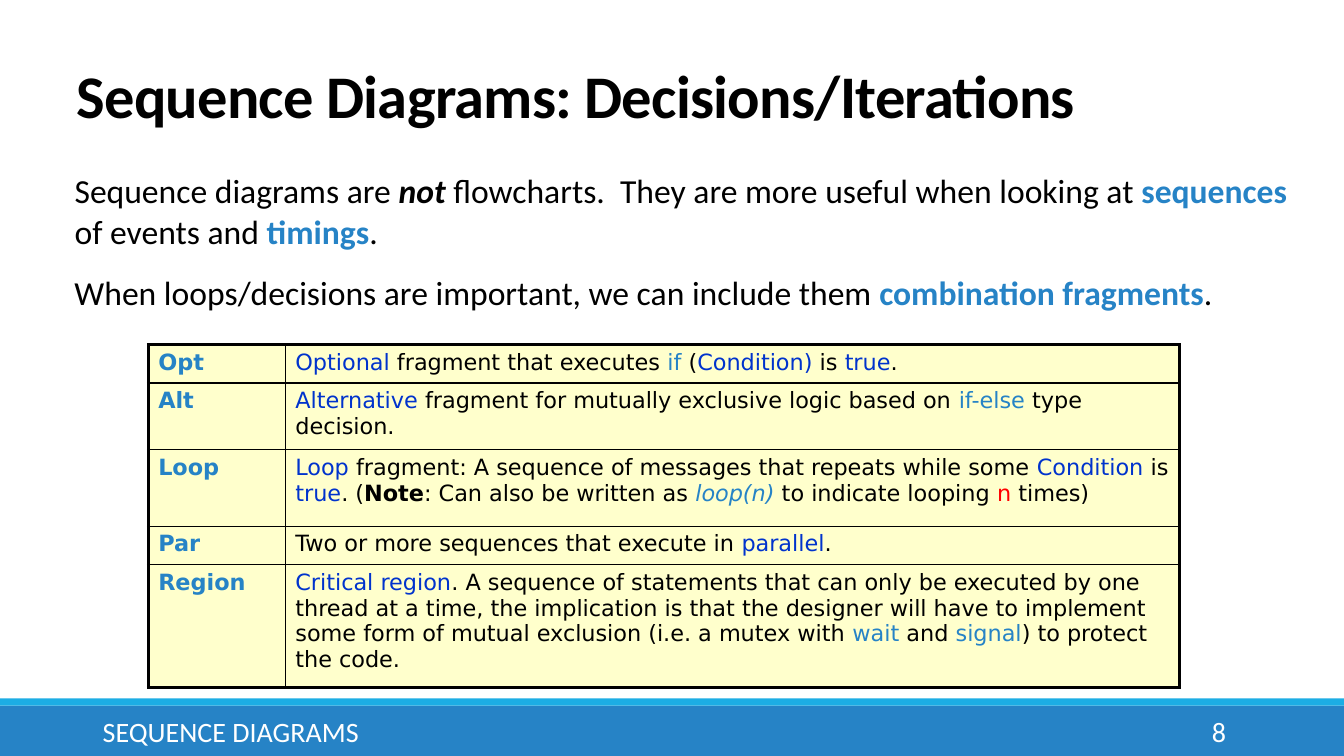
from dataclasses import dataclass, field

from lxml import etree
from pptx import Presentation
from pptx.dml.color import RGBColor
from pptx.enum import shapes, text
from pptx.oxml import ns
from pptx.util import Inches, Pt


@dataclass(frozen=True)
class Theme:
    black: str = "000000"
    white: str = "FFFFFF"
    blue: str = "2683C6"
    cyan: str = "1CADE4"
    navy: str = "0033CC"
    red: str = "FF0000"
    cream: str = "FFFFCC"
    font: str = "Calibri"
    table_font: str = "DejaVu Sans"
    title_size: float = 43.2
    body_size: float = 24
    footer_size: float = 20
    table_size: float = 16
    outer_border: float = 2.25
    inner_border: float = 1


THEME = Theme()


@dataclass(frozen=True)
class Run:
    text: str
    color: str = THEME.black
    bold: bool = False
    italic: bool = False
    spacing: float = 0


@dataclass(frozen=True)
class Label:
    box: tuple[float, float, float, float]
    runs: list[Run]
    size: float
    anchor: text.MSO_ANCHOR = text.MSO_ANCHOR.TOP
    align: text.PP_ALIGN = text.PP_ALIGN.LEFT
    side_inset: float = 0.1
    line_spacing: float = 1.0


@dataclass(frozen=True)
class Fragment:
    name: str
    height: float
    description: list[Run] = field(default_factory=list)


@dataclass(frozen=True)
class Bar:
    top: float
    height: float
    color: str


def key(words: str) -> Run:
    return Run(words, THEME.blue, bold=True)


def term(words: str) -> Run:
    return Run(words, THEME.navy)


def code(words: str, italic: bool = False) -> Run:
    return Run(words, THEME.blue, italic=italic)


BARS = [Bar(7, 0.5, THEME.blue), Bar(6.93, 0.07, THEME.cyan)]

LABELS = [
    Label((0.66, 0.5, 11, 0.85),
          [Run("Sequence Diagrams: Decisions/Iterations", bold=True, spacing=-0.5)],
          THEME.title_size, text.MSO_ANCHOR.BOTTOM, line_spacing=0.85),
    Label((0.74, 1.64, 12.1, 0.91),
          [Run("Sequence diagrams are "), Run("not", bold=True, italic=True),
           Run(" flowcharts.  They are more useful when looking at "), key("sequences "),
           Run("of events and "), key("timings"), Run(".")],
          THEME.body_size, side_inset=0),
    Label((0.92, 7.06, 8.39, 0.4), [Run("SEQUENCE DIAGRAMS", THEME.white)],
          THEME.footer_size, text.MSO_ANCHOR.MIDDLE),
    Label((10.83, 7.06, 1.43, 0.4), [Run("8", THEME.white)],
          THEME.footer_size, text.MSO_ANCHOR.MIDDLE, text.PP_ALIGN.RIGHT),
    Label((0.64, 2.65, 11.92, 0.5),
          [Run("When loops/decisions are important, we can include them "),
           key("combination fragments"), Run(".")],
          THEME.body_size),
]

TABLE_LEFT, TABLE_TOP = 1.47, 3.42
COLUMN_WIDTHS = [1.36, 8.87]
FRAGMENTS = [
    Fragment("Opt", 0.38, [
        term("Optional"), Run(" fragment that executes "), code("if"), Run(" ("),
        term("Condition)"), Run(" is "), term("true"), Run(".")]),
    Fragment("Alt", 0.66, [
        term("Alternative"), Run(" fragment for mutually exclusive logic based on "),
        code("if-else "), Run("type decision.")]),
    Fragment("Loop", 0.76, [
        term("Loop"), Run(" fragment: A sequence of messages that repeats while some "),
        term("Condition"), Run(" is "), term("true"), Run(". ("), Run("Note", bold=True),
        Run(": Can also be written as "), code("loop(n)", italic=True),
        Run(" to indicate looping "), Run("n", THEME.red), Run(" times)")]),
    Fragment("Par", 0.38, [
        Run("Two or more sequences that execute in "), term("parallel"), Run(".")]),
    Fragment("Region", 1.22, [
        term("Critical region"),
        Run(". A sequence of statements that can only be executed by one thread at a time, "
            "the implication is that the designer will have to implement some form of "
            "mutual exclusion (i.e. a mutex with "),
        code("wait"), Run(" and "), code("signal"), Run(") to protect the code.")]),
]


def add_runs(paragraph, runs: list[Run], font: str, size: float) -> None:
    for item in runs:
        run = paragraph.add_run()
        run.text = item.text
        run.font.name = font
        run.font.size = Pt(size)
        run.font.bold = item.bold
        run.font.italic = item.italic
        run.font.color.rgb = RGBColor.from_string(item.color)
        if item.spacing:
            run.font._element.set("spc", str(round(item.spacing * 100)))


def add_bar(slide, bar: Bar, width: int) -> None:
    shape = slide.shapes.add_shape(shapes.MSO_SHAPE.RECTANGLE, 0, Inches(bar.top),
                                   width, Inches(bar.height))
    shape.shadow.inherit = False
    shape.fill.solid()
    shape.fill.fore_color.rgb = RGBColor.from_string(bar.color)
    shape.line.fill.background()


def add_label(slide, label: Label) -> None:
    frame = slide.shapes.add_textbox(*map(Inches, label.box)).text_frame
    frame.word_wrap = True
    frame.vertical_anchor = label.anchor
    frame.margin_left = frame.margin_right = Inches(label.side_inset)
    paragraph = frame.paragraphs[0]
    paragraph.alignment = label.align
    paragraph.line_spacing = label.line_spacing
    add_runs(paragraph, label.runs, THEME.font, label.size)


def set_borders(cell, outer_sides: dict[str, bool]) -> None:
    """Draw each side, thick where it lies on the table's edge."""
    properties = cell._tc.get_or_add_tcPr()
    for index, (side, is_outer) in enumerate(outer_sides.items()):
        width = THEME.outer_border if is_outer else THEME.inner_border
        line = etree.Element(ns.qn(f"a:ln{side}"), w=str(Pt(width)))
        fill = etree.SubElement(line, ns.qn("a:solidFill"))
        etree.SubElement(fill, ns.qn("a:srgbClr"), val=THEME.black)
        properties.insert(index, line)


def add_fragment_table(slide) -> None:
    heights = [fragment.height for fragment in FRAGMENTS]
    table = slide.shapes.add_table(
        len(FRAGMENTS), len(COLUMN_WIDTHS), Inches(TABLE_LEFT), Inches(TABLE_TOP),
        Inches(sum(COLUMN_WIDTHS)), Inches(sum(heights))).table
    table.first_row = table.horz_banding = False
    for column, width in zip(table.columns, COLUMN_WIDTHS):
        column.width = Inches(width)
    last_row, last_column = len(FRAGMENTS) - 1, len(COLUMN_WIDTHS) - 1
    for row, fragment in enumerate(FRAGMENTS):
        table.rows[row].height = Inches(fragment.height)
        for column, runs in enumerate([[key(fragment.name)], fragment.description]):
            cell = table.cell(row, column)
            cell.fill.solid()
            cell.fill.fore_color.rgb = RGBColor.from_string(THEME.cream)
            set_borders(cell, {"L": column == 0, "R": column == last_column,
                               "T": row == 0, "B": row == last_row})
            add_runs(cell.text_frame.paragraphs[0], runs, THEME.table_font,
                     THEME.table_size)


def main() -> None:
    presentation = Presentation()
    presentation.slide_width = Inches(13.33)
    presentation.slide_height = Inches(7.5)
    slide = presentation.slides.add_slide(presentation.slide_layouts[6])
    for bar in BARS:
        add_bar(slide, bar, presentation.slide_width)
    for label in LABELS:
        add_label(slide, label)
    add_fragment_table(slide)
    presentation.save("out.pptx")


if __name__ == "__main__":
    main()
